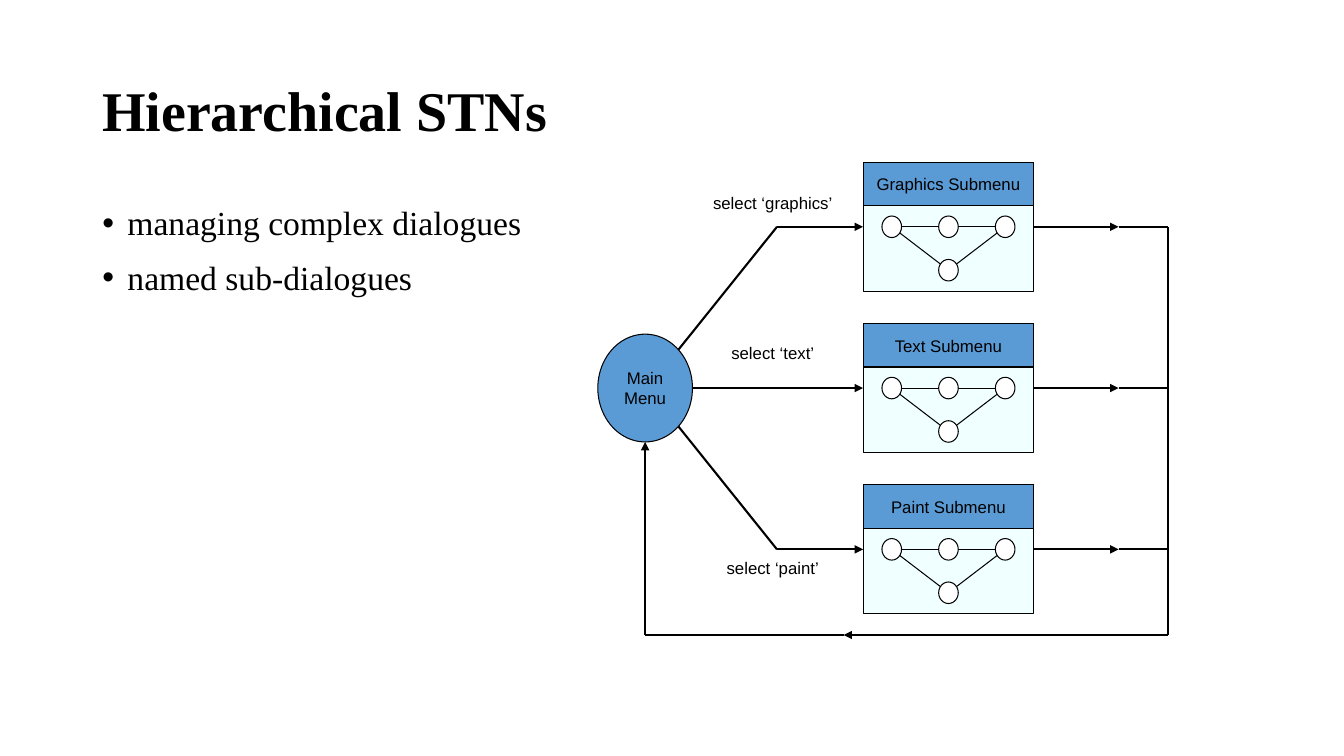
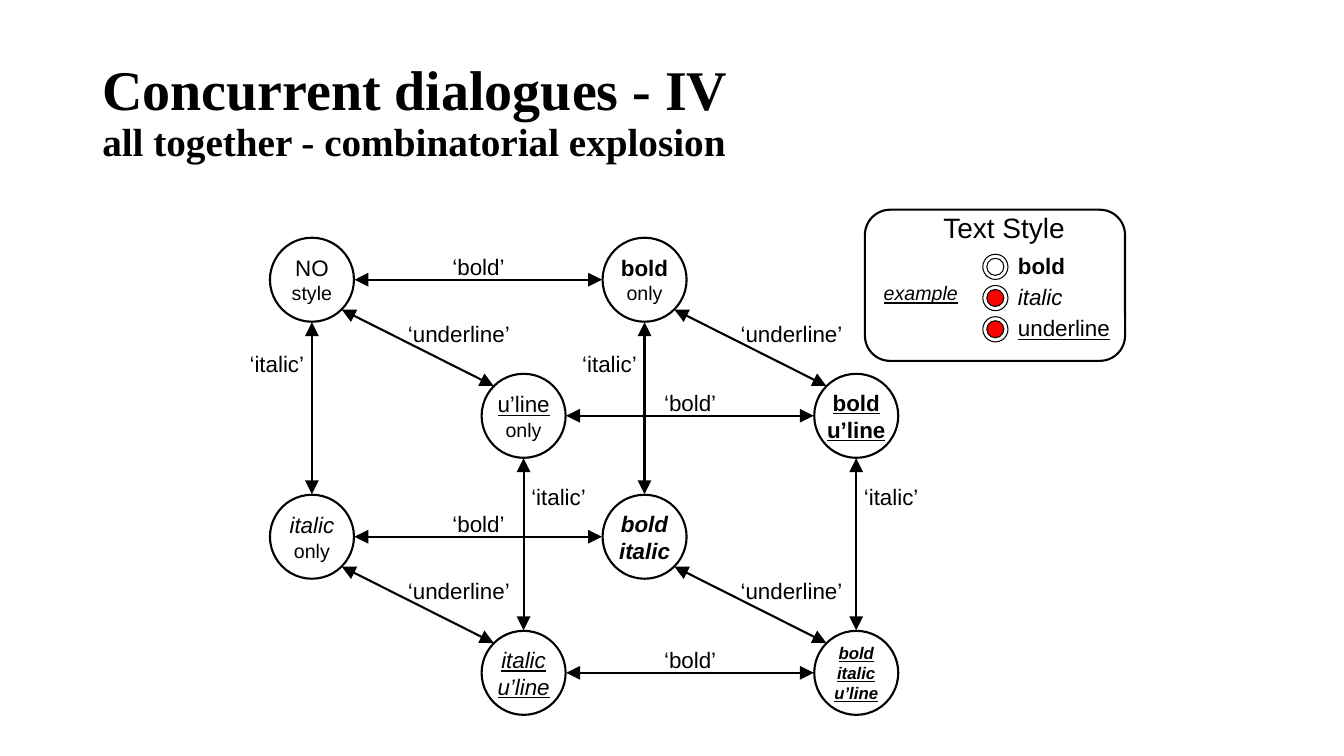
from dataclasses import dataclass
from itertools import product

from pptx import Presentation
from pptx.dml.color import RGBColor
from pptx.enum.shapes import MSO_CONNECTOR, MSO_SHAPE
from pptx.enum.text import MSO_ANCHOR, PP_ALIGN
from pptx.oxml.ns import qn
from pptx.util import Pt
from lxml.etree import SubElement


@dataclass(frozen=True)
class Theme:
    ink: str = "000000"
    paper: str = "FFFFFF"
    blue: str = "5B9BD5"
    pale: str = "F0FFFF"
    red: str = "FF0000"
    serif: str = "Times New Roman"
    sans: str = "Arial"
    title: int = 40
    subtitle: int = 28
    body: int = 24
    head: int = 20
    text: int = 16
    note: int = 14
    small: int = 12
    thin: float = 0.75
    thick: float = 1.5


T = Theme()
MARKS = {"b": "bold", "i": "italic", "u": "underline"}
CENTER = {"alignment": PP_ALIGN.CENTER}
BARE = {"margin_left": 0, "margin_right": 0, "margin_top": 0, "margin_bottom": 0}


def assign(item, values):
    for name, value in values.items():
        setattr(item, name, value)


def color(code):
    return RGBColor.from_string(code)


def write(frame, lines, layout, face=T.sans):
    for count, (words, size, marks) in enumerate(lines):
        par = frame.add_paragraph() if count else frame.paragraphs[0]
        assign(par, layout)
        run = par.add_run()
        run.text = words
        assign(run.font, {"name": face, "size": Pt(size)})
        assign(run.font, {MARKS[mark]: True for mark in marks})
        run.font.color.rgb = color(T.ink)


def label(slide, box, lines, layout=CENTER, face=T.sans, wrap=False, anchor=MSO_ANCHOR.TOP):
    frame = slide.shapes.add_textbox(*map(Pt, box)).text_frame
    assign(frame, {"word_wrap": wrap, "vertical_anchor": anchor})
    write(frame, lines, layout, face)
    return frame


def form(slide, kind, box, fill=T.paper, width=T.thin, lines=()):
    shape = slide.shapes.add_shape(kind, *map(Pt, box))
    shape.shadow.inherit = False
    shape.fill.solid()
    shape.fill.fore_color.rgb = color(fill)
    shape.line.color.rgb = color(T.ink)
    shape.line.width = Pt(width)
    frame = shape.text_frame
    assign(frame, {"word_wrap": False, "vertical_anchor": MSO_ANCHOR.MIDDLE, **BARE})
    write(frame, lines, CENTER)


def oval(slide, x, y, wide, high, fill=T.paper, width=T.thin, lines=()):
    box = (x - wide / 2, y - high / 2, wide, high)
    form(slide, MSO_SHAPE.OVAL, box, fill, width, lines)


def link(slide, start, end, width=T.thick, tips=(), size="med"):
    line = slide.shapes.add_connector(MSO_CONNECTOR.STRAIGHT, *map(Pt, (*start, *end)))
    line.line.color.rgb = color(T.ink)
    line.line.width = Pt(width)
    props = line.element.spPr
    for tip in tips:
        SubElement(props.find(qn("a:ln")), qn(tip), type="triangle", w=size, len=size)
    SubElement(props, qn("a:effectLst"))


def route(slide, *points):
    last = len(points) - 2
    for leg, (start, end) in enumerate(zip(points, points[1:])):
        link(slide, start, end, tips=("a:tailEnd",) if leg == last else ())


def title(slide, *lines):
    label(slide, (66, 29, 828, 104), lines, {"line_spacing": 0.9}, T.serif, True,
          MSO_ANCHOR.MIDDLE)


def bullets(slide, items):
    layout = {"line_spacing": 0.9, "space_after": Pt(13)}
    lines = [(item, T.body, "") for item in items]
    frame = label(slide, (66, 144, 828, 343), lines, layout, T.serif, True)
    for par in frame.paragraphs:
        props = par._p.get_or_add_pPr()
        for name, value in {"marL": Pt(18), "indent": Pt(-18)}.items():
            props.set(name, str(value))
        SubElement(props, qn("a:buFont"), typeface=T.sans)
        SubElement(props, qn("a:buChar"), char="•")


def menu(slide, left, top, name):
    wide = 122
    form(slide, MSO_SHAPE.RECTANGLE, (left, top, wide, 92), T.pale)
    form(slide, MSO_SHAPE.RECTANGLE, (left, top, wide, 31), T.blue,
         lines=[(name, T.small, "")])
    mid = left + wide / 2
    first, second, third = [(mid + step, top + 46) for step in (-40.5, 0, 40.5)]
    low = (mid, top + 77)
    for start, end in ((first, low), (third, low), (first, third)):
        link(slide, start, end, T.thin)
    for spot in (first, second, third, low):
        oval(slide, *spot, 14, 15.4)


def levels(slide):
    title(slide, ("Hierarchical STNs", T.title, "b"))
    bullets(slide, ("managing complex dialogues", "named sub-dialogues"))
    hub, mid, left, right, bus, base = 460.8, 277.2, 616.5, 738.5, 834.5, 453.6
    rows = (("Graphics", "graphics", -1, 147.6), ("Text", "text", 0, 254.9),
            ("Paint", "paint", 1, 408))
    for name, key, side, high in rows:
        y = mid + side * 115.2
        menu(slide, left, y - 46, f"{name} Submenu")
        if side:
            route(slide, (hub + 23.8, mid + side * 27.4), (555, y), (left, y))
        else:
            route(slide, (hub + 33.8, y), (left, y))
        route(slide, (right, y), (799, y))
        link(slide, (799, y), (bus, y))
        label(slide, (496, high - 13.5, 112, 27), [(f"select ‘{key}’", T.small, "")])
    route(slide, (bus, mid - 115.2), (bus, base), (602.6, base))
    route(slide, (602.6, base), (hub, base), (hub, mid + 38.5))
    oval(slide, hub, mid, 67.6, 77, T.blue,
         lines=[("Main", T.small, ""), ("Menu", T.small, "")])


def place(bold, slant, under):
    return 222.8 + 237.6 * bold + 151.2 * under, 199.8 + 183.6 * slant + 97.2 * under


def state(flags):
    marks = "".join(mark for mark, flag in zip("biu", flags) if flag)
    names = {"b": "bold", "i": "italic", "u": "u’line"}
    if not marks:
        return [("NO", T.text, ""), ("style", T.note, "")]
    if len(marks) == 1:
        return [(names[marks], T.text, marks), ("only", T.note, "")]
    size = T.small if len(marks) == 3 else T.text
    return [(names[mark], size, marks) for mark in marks]


def cube(slide):
    states = list(product((0, 1), repeat=3))
    moves = (("bold", 30.4, 0, 119, -9.4, 52), ("italic", 0, 30.4, -25, 60.5, 54),
             ("underline", 21.3, 21.3, 105, 39, 87))
    for flags in states:
        x, y = place(*flags)
        for axis, (name, gapx, gapy, textx, texty, wide) in enumerate(moves):
            if flags[axis]:
                continue
            goal = [1 if spot == axis else flag for spot, flag in enumerate(flags)]
            endx, endy = place(*goal)
            link(slide, (x + gapx, y + gapy), (endx - gapx, endy - gapy),
                 tips=("a:headEnd", "a:tailEnd"), size="lg")
            if name == "italic" and flags[2]:
                textx, texty = -textx, texty - 2.5
            box = (x + textx - wide / 2, y + texty - 13.5, wide, 27)
            label(slide, box, [(f"‘{name}’", T.text, "")])
    for flags in states:
        oval(slide, *place(*flags), 60, 60, width=T.thick, lines=state(flags))


def card(slide):
    left = {"alignment": PP_ALIGN.LEFT}
    form(slide, MSO_SHAPE.ROUNDED_RECTANGLE, (617.8, 149.8, 185.8, 108), width=T.thick)
    label(slide, (666.7, 147, 110, 31), [("Text Style", T.head, "")], left, wrap=True)
    label(slide, (624.2, 197.3, 72, 24), [("example", T.note, "iu")], left, wrap=True)
    choices = (("bold", T.paper), ("italic", T.red), ("underline", T.red))
    for row, (name, fill) in enumerate(choices):
        y = 190.6 + 22.3 * row
        for size, tint in ((18, T.paper), (12.2, fill)):
            oval(slide, 711, y, size, size, tint)
        label(slide, (720, y - 14.2, 84, 27), [(name, T.text, name[0])], left, wrap=True)


def styles(slide):
    title(slide, ("Concurrent dialogues - IV", T.title, "b"),
          ("all together - combinatorial explosion", T.subtitle, "b"))
    cube(slide)
    card(slide)


def main():
    deck = Presentation()
    assign(deck, {"slide_width": Pt(960), "slide_height": Pt(540)})
    for build in (levels, styles):
        build(deck.slides.add_slide(deck.slide_layouts[6]))
    deck.save("out.pptx")


if __name__ == "__main__":
    main()
